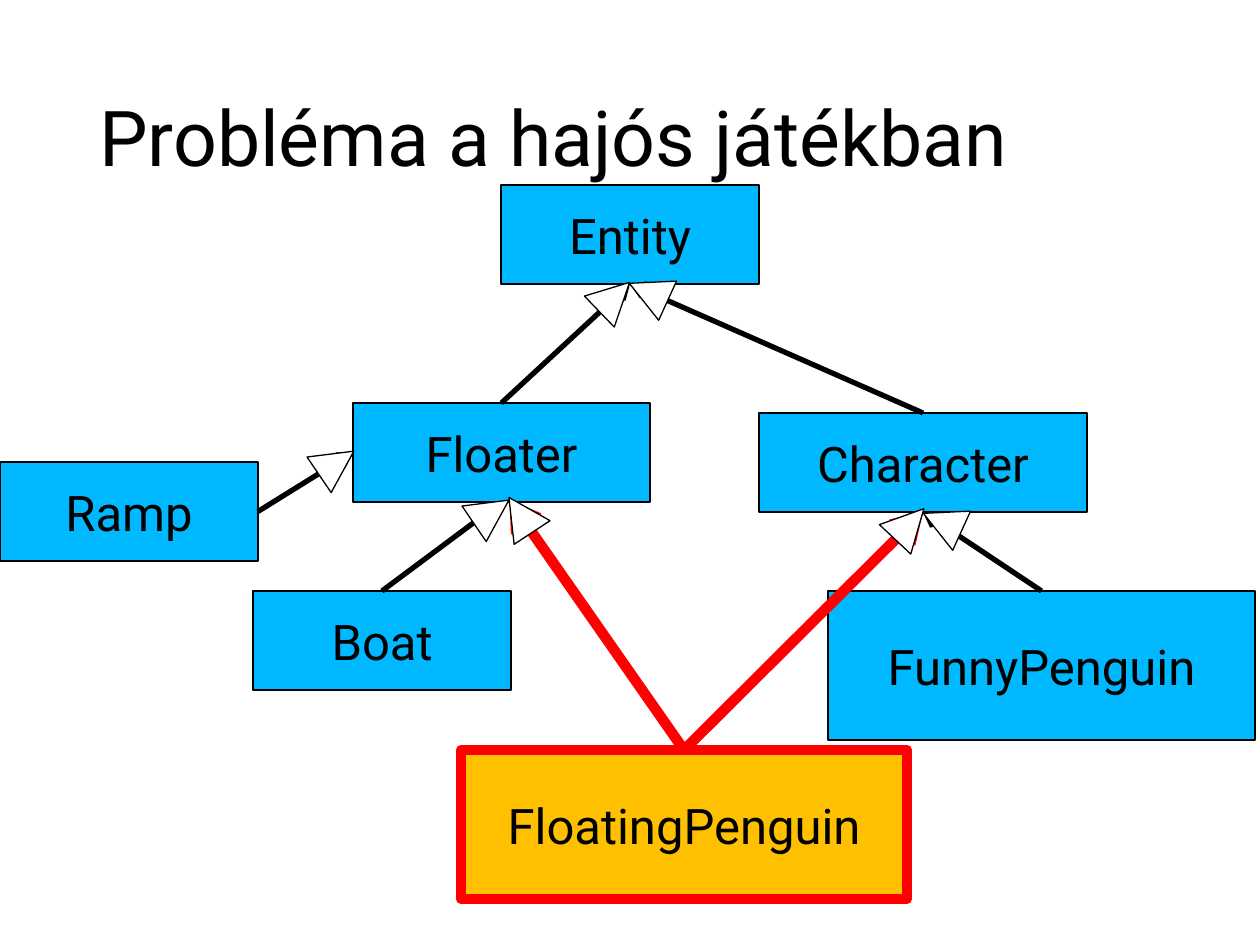
from dataclasses import dataclass

from lxml import etree
from pptx import Presentation
from pptx.dml.color import RGBColor
from pptx.enum import shapes, text
from pptx.oxml.ns import qn
from pptx.util import Pt

EMU_PER_PX = 914400 / 126
FONT = "Roboto"
BLACK = RGBColor(0x00, 0x00, 0x00)
WHITE = RGBColor(0xFF, 0xFF, 0xFF)
BLUE = RGBColor(0x00, 0xB8, 0xFF)
AMBER = RGBColor(0xFF, 0xC0, 0x00)
RED = RGBColor(0xFF, 0x00, 0x00)

# Connection sites of a rectangle
TOP, LEFT, BOTTOM, RIGHT = range(4)


@dataclass(frozen=True)
class ClassBox:
    name: str
    left: int
    top: int
    width: int = 258
    height: int = 99
    fill: RGBColor = BLUE
    line: RGBColor = BLACK
    line_width: float = 0.75


@dataclass(frozen=True)
class Inheritance:
    child: str
    parent: str
    child_site: int = TOP
    parent_site: int = BOTTOM
    color: RGBColor = BLACK
    width: float = 3
    end_shift: tuple[int, int] = (0, 0)


@dataclass(frozen=True)
class Arrowhead:
    left: int
    top: int
    rotation: float


CLASSES = [
    ClassBox("Entity", 501, 185),
    ClassBox("Boat", 253, 591),
    ClassBox("Floater", 353, 403, width=297),
    ClassBox("FloatingPenguin", 461, 750, 446, 149, AMBER, RED, 6),
    ClassBox("Character", 759, 413, width=328),
    ClassBox("FunnyPenguin", 828, 591, 427, 149),
    ClassBox("Ramp", 0, 462),
]

# Lines and heads in stacking order
LINKS = [
    Inheritance("Floater", "Entity"),
    Inheritance("Character", "Entity"),
    Inheritance("Boat", "Floater"),
    Inheritance("FloatingPenguin", "Character", color=RED, width=6),
    Inheritance("Ramp", "Floater", RIGHT, LEFT),
    Inheritance("FunnyPenguin", "Character"),
    Arrowhead(593, 276, 46),
    Arrowhead(470, 491, 55.8),
    Arrowhead(315, 442, 55.8),
    Arrowhead(921, 501, 294.5),
    Arrowhead(627, 271, 294.5),
    Arrowhead(888, 503, 43.2),
    Inheritance("FloatingPenguin", "Floater", color=RED, width=6, end_shift=(8, -2)),
    Arrowhead(499, 494, 326.6),
]


def px(value: int) -> int:
    return round(value * EMU_PER_PX)


def write(paragraph, content: str, size: int) -> None:
    run = paragraph.add_run()
    run.text = content
    run.font.name = FONT
    run.font.size = Pt(size)
    run.font.color.rgb = BLACK


def add_title(slide, content: str) -> None:
    frame = slide.shapes.add_textbox(px(87), px(50), px(1086), px(183)).text_frame
    frame.word_wrap = True
    frame.vertical_anchor = text.MSO_ANCHOR.MIDDLE
    paragraph = frame.paragraphs[0]
    paragraph.line_spacing = 0.9
    write(paragraph, content, 44)


def style(shape, fill: RGBColor, line: RGBColor, width: float) -> None:
    shape.shadow.inherit = False
    shape.fill.solid()
    shape.fill.fore_color.rgb = fill
    shape.line.color.rgb = line
    shape.line.width = Pt(width)


def add_class(slide, box: ClassBox):
    shape = slide.shapes.add_shape(
        shapes.MSO_SHAPE.RECTANGLE,
        px(box.left), px(box.top), px(box.width), px(box.height),
    )
    style(shape, box.fill, box.line, box.line_width)
    frame = shape.text_frame
    frame.vertical_anchor = text.MSO_ANCHOR.MIDDLE
    paragraph = frame.paragraphs[0]
    paragraph.alignment = text.PP_ALIGN.CENTER
    write(paragraph, box.name, 28)
    return shape


def add_inheritance(slide, link: Inheritance, boxes: dict) -> None:
    connector = slide.shapes.add_connector(shapes.MSO_CONNECTOR.STRAIGHT, 0, 0, 0, 0)
    connector.begin_connect(boxes[link.child], link.child_site)
    parent = boxes[link.parent]
    if link.end_shift == (0, 0):
        connector.end_connect(parent, link.parent_site)
    else:  # free end beside the middle of the parent's lower edge
        connector.end_x = parent.left + parent.width // 2 + px(link.end_shift[0])
        connector.end_y = parent.top + parent.height + px(link.end_shift[1])
    connector.line.color.rgb = link.color
    connector.line.width = Pt(link.width)
    properties = connector._element.spPr
    etree.SubElement(properties.find(qn("a:ln")), qn("a:tailEnd"), type="arrow")
    etree.SubElement(properties, qn("a:effectLst"))


def add_arrowhead(slide, head: Arrowhead) -> None:
    shape = slide.shapes.add_shape(
        shapes.MSO_SHAPE.ISOSCELES_TRIANGLE, px(head.left), px(head.top), px(43), px(42)
    )
    shape.rotation = head.rotation
    style(shape, WHITE, BLACK, 0.75)


def main() -> None:
    presentation = Presentation()
    presentation.slide_width = px(1260)
    presentation.slide_height = px(945)
    slide = presentation.slides.add_slide(presentation.slide_layouts[6])

    add_title(slide, "Probléma a hajós játékban")

    # Class diagram
    boxes = {box.name: add_class(slide, box) for box in CLASSES}
    for link in LINKS:
        if isinstance(link, Inheritance):
            add_inheritance(slide, link, boxes)
        else:
            add_arrowhead(slide, link)

    presentation.save("out.pptx")


if __name__ == "__main__":
    main()
